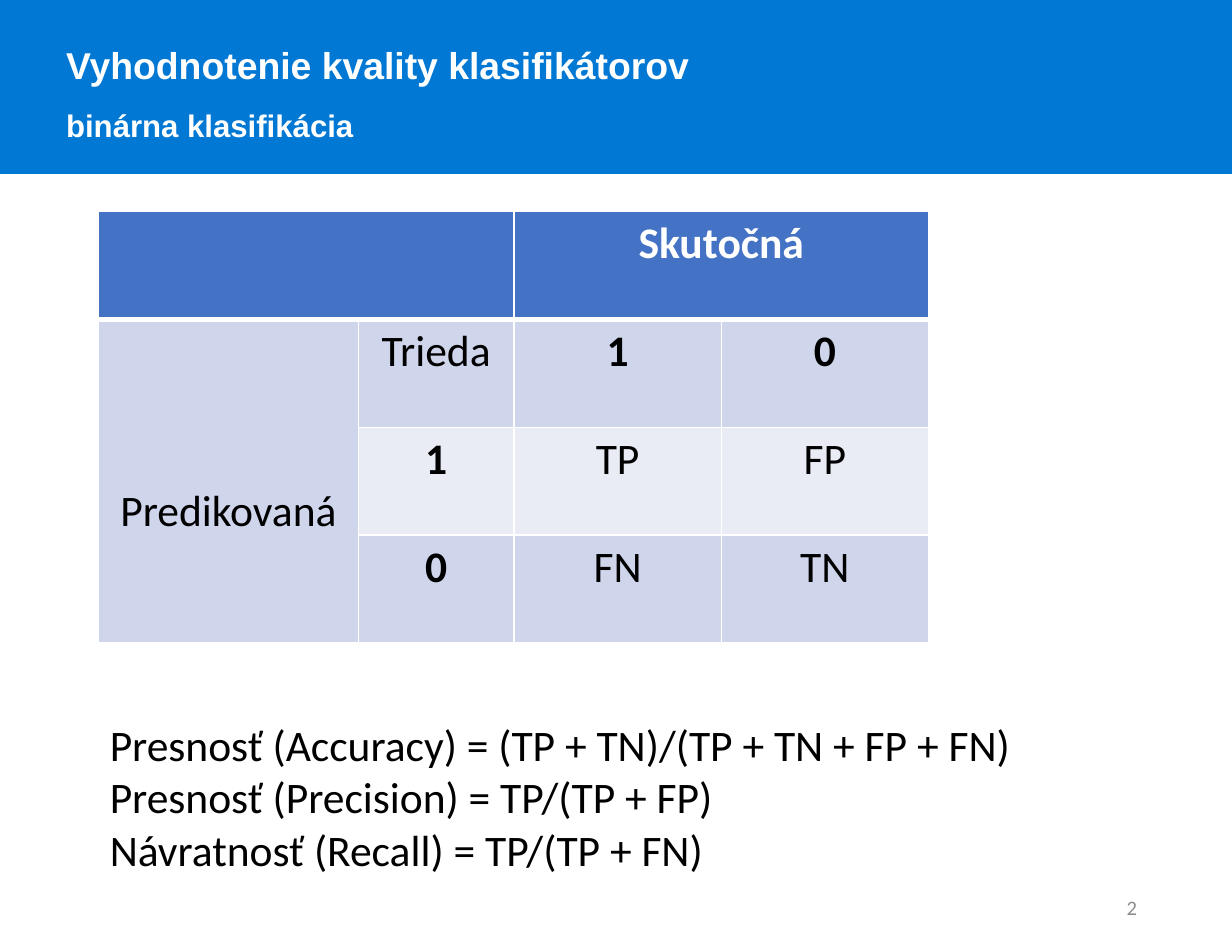
from lxml.etree import SubElement
from pptx import Presentation
from pptx.dml.color import RGBColor
from pptx.enum.shapes import MSO_SHAPE as Shape
from pptx.enum.text import MSO_ANCHOR as Anchor, MSO_AUTO_SIZE as AutoSize, PP_ALIGN as Align
from pptx.oxml.ns import qn
from pptx.util import Inches, Pt

COLORS = {
    "band": "0078D4", "white": "FFFFFF", "black": "000000", "number": "8C8C8C",
    "header": "4472C4", "dark_row": "CFD5EA", "light_row": "E9EBF5",
}


def rgb(name):
    return RGBColor.from_string(COLORS[name])


def place(shape, box):
    shape.left, shape.top, shape.width, shape.height = map(Inches, box)


def add_run(paragraph, text, size, color, font="Calibri", bold=False):
    run = paragraph.add_run()
    run.text = text
    run.font.size = Pt(size)
    run.font.name = font
    run.font.bold = bold
    run.font.color.rgb = rgb(color)


def add_lines(frame, lines, align, spacing=1.0, **style):
    for index, (text, size) in enumerate(lines):
        paragraph = frame.add_paragraph() if index else frame.paragraphs[0]
        paragraph.alignment = align
        paragraph.line_spacing = spacing
        paragraph.space_before = paragraph.space_after = Pt(0)
        add_run(paragraph, text, size, **style)


def prepare(frame, anchor):
    frame.word_wrap = True
    frame.auto_size = AutoSize.NONE
    frame.vertical_anchor = anchor


def build_header(slide, box):
    left, top, width, height = box
    band = slide.shapes.add_shape(Shape.RECTANGLE, *map(Inches, box))
    band.shadow.inherit = False
    band.fill.solid()
    band.fill.fore_color.rgb = rgb("band")
    band.line.color.rgb = rgb("band")
    band.line.width = Pt(1)
    band.element.getparent().insert(2, band.element)

    title = slide.shapes.title
    place(title, (left + 0.49, top + 0.13, width - 0.82, height + 0.06))
    prepare(title.text_frame, Anchor.TOP)
    headings = [("Vyhodnotenie kvality klasifikátorov", 24), ("binárna klasifikácia", 20)]
    add_lines(title.text_frame, headings, Align.LEFT, 1.5, color="white", font="Arial", bold=True)


def set_borders(cell, row):
    widths = {"L": 1, "R": 1, "T": 3 if row == 1 else 1, "B": 3 if row == 0 else 1}
    properties = cell._tc.get_or_add_tcPr()
    for side, width in widths.items():
        line = SubElement(properties, qn(f"a:ln{side}"), w=str(Pt(width)))
        fill = SubElement(line, qn("a:solidFill"))
        SubElement(fill, qn("a:srgbClr"), val=COLORS["white"])


def build_confusion_matrix(slide, box):
    labels = [
        ["", "", "Skutočná", ""],
        ["Predikovaná", "Trieda", "1", "0"],
        ["", "1", "TP", "FP"],
        ["", "0", "FN", "TN"],
    ]
    row_fills = ["header", "dark_row", "light_row", "dark_row"]
    column_widths = [2.32, 1.39, 1.85, 1.85]
    matrix = slide.shapes.add_table(4, 4, *map(Inches, box)).table
    for column, width in zip(matrix.columns, column_widths):
        column.width = Inches(width)
    for row in matrix.rows:
        row.height = Inches(box[3] / len(labels))
    for first, last in (((0, 0), (0, 1)), ((0, 2), (0, 3)), ((1, 0), (3, 0))):
        matrix.cell(*first).merge(matrix.cell(*last))

    for r, row_labels in enumerate(labels):
        for c, label in enumerate(row_labels):
            cell = matrix.cell(r, c)
            set_borders(cell, r)
            cell.fill.solid()
            cell.fill.fore_color.rgb = rgb("dark_row" if r and c == 0 else row_fills[r])
            if label:
                add_lines(cell.text_frame, [(label, 28)], Align.CENTER,
                          color="black" if r else "white",
                          bold=r == 0 or label in ("0", "1"))
    predicted = matrix.cell(1, 0)
    predicted.vertical_anchor = Anchor.MIDDLE
    predicted.margin_top = Inches(0.6)


def build_formulas(slide, box):
    formulas = slide.placeholders[1]
    place(formulas, box)
    prepare(formulas.text_frame, Anchor.TOP)
    metrics = [
        ("Presnosť (Accuracy) = (TP + TN)/(TP + TN + FP + FN)", 28),
        ("Presnosť (Precision) = TP/(TP + FP)", 28),
        ("Návratnosť (Recall) = TP/(TP + FN)", 28),
    ]
    add_lines(formulas.text_frame, metrics, Align.LEFT, color="black")
    for paragraph in formulas.text_frame.paragraphs:
        properties = paragraph._p.get_or_add_pPr()
        properties.set("marL", "0")
        properties.set("indent", "0")
        SubElement(properties, qn("a:buNone"))


def build_page_number(slide, box):
    number = slide.shapes.add_textbox(*map(Inches, box))
    prepare(number.text_frame, Anchor.MIDDLE)
    add_lines(number.text_frame, [("2", 13.2)], Align.RIGHT, color="number")


deck = Presentation()
deck.slide_width, deck.slide_height = Inches(11), Inches(8.5)
evaluation = deck.slides.add_slide(deck.slide_layouts[1])
build_header(evaluation, (0, 0, 11, 1.55))
build_page_number(evaluation, (7.77, 7.88, 2.48, 0.45))
build_confusion_matrix(evaluation, (0.88, 1.89, 7.41, 3.85))
build_formulas(evaluation, (0.88, 6.36, 8.34, 1.51))
deck.save("out.pptx")
